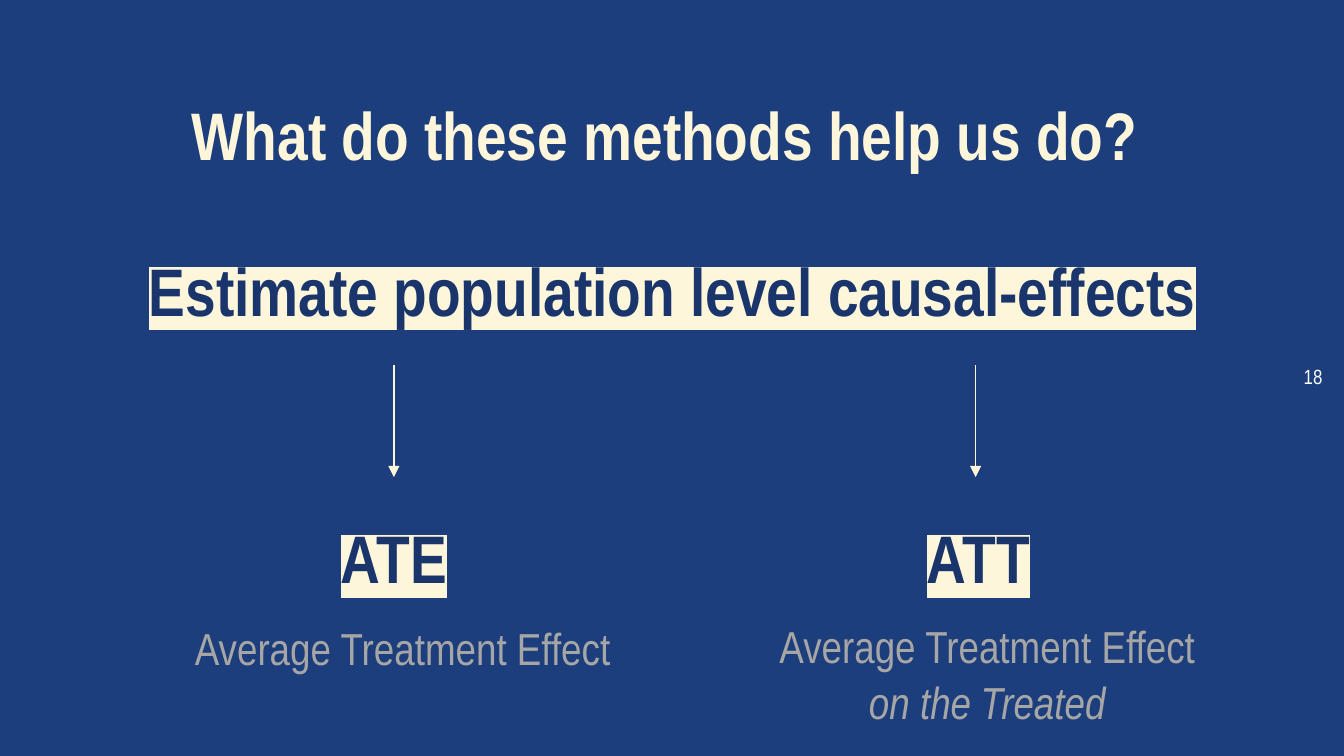
"""Build the slide on average treatment effects with python-pptx."""
from dataclasses import dataclass

from pptx import Presentation
from pptx.dml.color import RGBColor
from pptx.enum.shapes import MSO_CONNECTOR
from pptx.enum.text import MSO_ANCHOR, MSO_AUTO_SIZE, PP_ALIGN
from pptx.oxml.ns import qn
from pptx.slide import Slide
from pptx.util import Pt
from lxml import etree

STRAIGHT = MSO_CONNECTOR.STRAIGHT
TOP, MIDDLE = MSO_ANCHOR.TOP, MSO_ANCHOR.MIDDLE
CENTER, RIGHT = PP_ALIGN.CENTER, PP_ALIGN.RIGHT
NO_AUTOFIT = MSO_AUTO_SIZE.NONE

FONT = "Arial Narrow"
LINE_SPACING = 0.82
COLORS = {
    "background": "1D3E7C",
    "cream": "FDF6DB",
    "navy": "19356B",
    "gray": "A6A6A6",
    "white": "FFFFFF",
}


@dataclass(frozen=True)
class Style:
    size: float
    color: str
    bold: bool = False
    highlight: str = ""
    align: PP_ALIGN = CENTER
    anchor: MSO_ANCHOR = TOP
    inset: float = 0


@dataclass(frozen=True)
class Label:
    lines: tuple[str, ...]
    left: float
    top: float
    width: float
    height: float
    style: Style
    italic_from: int = 1


@dataclass(frozen=True)
class Arrow:
    x: float
    top: float = 195.8
    bottom: float = 255.6


HEADING = Style(36, "cream", bold=True, inset=11)
MARKED = Style(36, "navy", bold=True, highlight="cream", inset=10)
CAPTION = Style(24, "gray", inset=6.6)
NUMBER = Style(11, "white", align=RIGHT, anchor=MIDDLE)

TITLE = Label(("What do these methods help us do? ",), 46, 46.8, 628.6, 59.8, HEADING)
LABELS = (
    Label(("18",), 665.3, 0, 43.2, 405, NUMBER),
    Label(("Estimate population level causal-effects",), 46, 131, 628.6, 59.8, MARKED),
    Label(("ATE",), 99.4, 274.3, 223.2, 46.8, MARKED),
    Label(("ATT",), 412.6, 274.3, 223.2, 46.8, MARKED),
    Label(("Average Treatment Effect",), 79.2, 331.2, 272.9, 46.8, CAPTION),
    Label(("Average Treatment Effect", "on the Treated"), 392.4, 329.8, 272.9, 46.8, CAPTION),
)
ARROWS = (Arrow(211), Arrow(522.7))


def rgb(name: str) -> RGBColor:
    """Look up a named colour."""
    return RGBColor.from_string(COLORS[name])


def add_highlight(r, color: str) -> None:
    """Mark a run with a background colour."""
    mark = etree.Element(qn("a:highlight"))
    etree.SubElement(mark, qn("a:srgbClr"), val=COLORS[color])
    r.font._element.find(qn("a:solidFill")).addnext(mark)


def write_label(sp, label: Label) -> None:
    """Place a text shape and fill it with formatted lines."""
    style = label.style
    for name in ("left", "top", "width", "height"):
        setattr(sp, name, Pt(getattr(label, name)))
    tf = sp.text_frame
    frame = {
        "word_wrap": True, "auto_size": NO_AUTOFIT, "vertical_anchor": style.anchor,
        "margin_left": 0, "margin_right": 0, "margin_bottom": 0,
        "margin_top": Pt(style.inset),
    }
    for name, value in frame.items():
        setattr(tf, name, value)
    for i, line in enumerate(label.lines):
        p = tf.add_paragraph() if i else tf.paragraphs[0]
        p.alignment = style.align
        p.line_spacing = LINE_SPACING
        p.space_before = Pt(6.4 if i else 0)
        r = p.add_run()
        r.text = line
        font = {
            "name": FONT, "size": Pt(style.size), "bold": style.bold,
            "italic": i >= label.italic_from,
        }
        for name, value in font.items():
            setattr(r.font, name, value)
        r.font.color.rgb = rgb(style.color)
        if style.highlight:
            add_highlight(r, style.highlight)


def add_label(s: Slide, label: Label) -> None:
    """Add a text box for a label."""
    write_label(s.shapes.add_textbox(0, 0, 0, 0), label)


def add_arrow(s: Slide, arrow: Arrow) -> None:
    """Draw a thin downward arrow."""
    x = Pt(arrow.x)
    sp = s.shapes.add_connector(STRAIGHT, x, Pt(arrow.top), x, Pt(arrow.bottom))
    sp.line.color.rgb = rgb("cream")
    sp.line.width = Pt(0.75)
    etree.SubElement(sp.line._get_or_add_ln(), qn("a:tailEnd"), type="triangle")
    etree.SubElement(sp._element.spPr, qn("a:effectLst"))


def main() -> None:
    """Create and save the presentation."""
    prs = Presentation()
    prs.slide_width, prs.slide_height = Pt(720), Pt(405)
    s = prs.slides.add_slide(prs.slide_layouts[5])
    s.background.fill.solid()
    s.background.fill.fore_color.rgb = rgb("background")
    write_label(s.shapes.title, TITLE)
    for label in LABELS:
        add_label(s, label)
    for arrow in ARROWS:
        add_arrow(s, arrow)
    prs.save("out.pptx")


if __name__ == "__main__":
    main()
